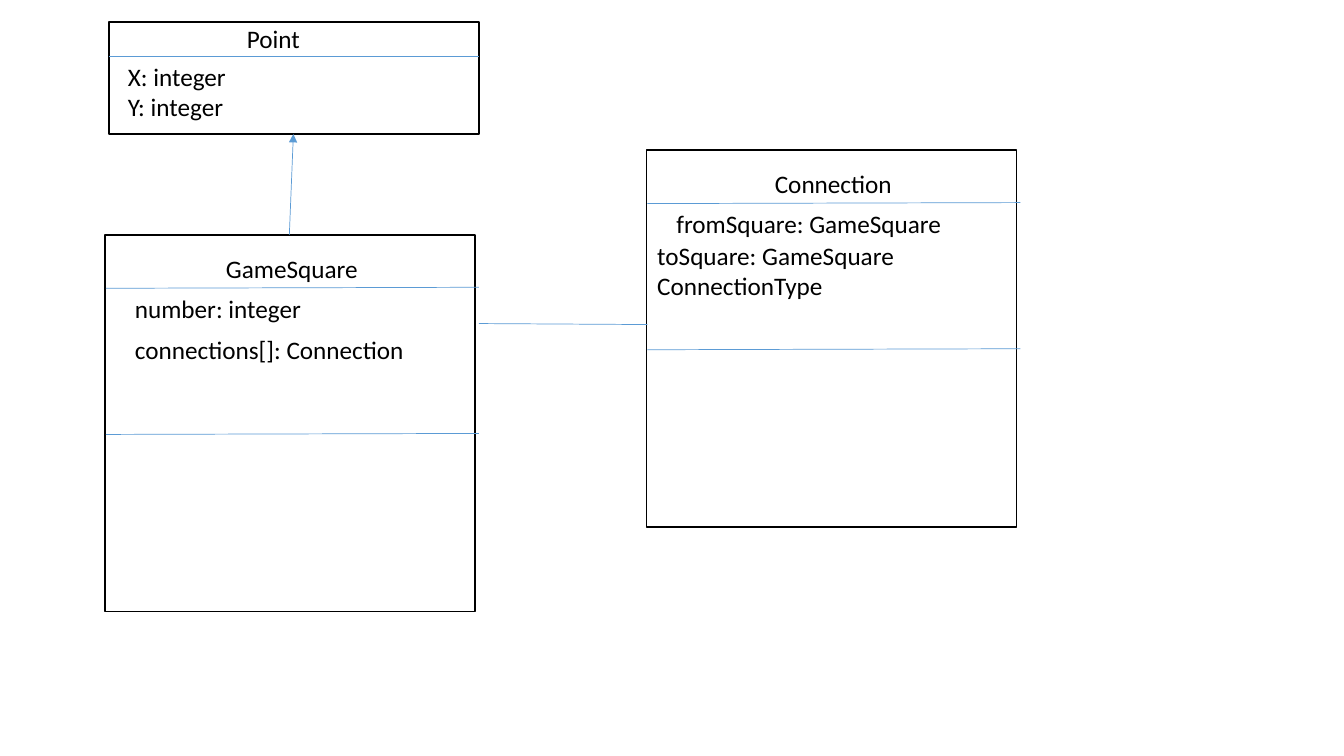
from pptx import Presentation
from pptx.dml.color import RGBColor
from pptx.enum.shapes import MSO_CONNECTOR, MSO_SHAPE
from pptx.enum.text import MSO_AUTO_SIZE, PP_ALIGN
from pptx.oxml.ns import qn
from pptx.util import Inches, Pt
from lxml.etree import SubElement

BLACK = RGBColor(0x00, 0x00, 0x00)
WHITE = RGBColor(0xFF, 0xFF, 0xFF)
BLUE = RGBColor(0x5B, 0x9B, 0xD5)
FONT, SIZE = "Calibri", 18
ROW = 0.4       # height of a one-line label
STEP = 0.31     # added height of each further line
WIDE = 3.67     # width of every class box
TALL = 3.74     # height of a class box with three parts
OVER = 0.04     # how far a rule passes the right edge
TILT = 0.01     # rise of a rule from left to right

# Labels: lines, left and top inside the box, width, alignment.
# Rules: left, top, right and rise inside the box.
RULES = [(0.01, top, WIDE + OVER, TILT) for top in (0.53, 1.98)]
CLASSES = [
    {"at": (1.04, 2.33), "high": TALL, "rules": RULES, "labels": [
        (["GameSquare"], 0.82, 0.13, 2.07, PP_ALIGN.CENTER),
        (["number: integer"], 0.2, 0.53, 2.44, PP_ALIGN.LEFT),
        (["connections[]: Connection"], 0.2, 0.94, 3.2, PP_ALIGN.LEFT)]},
    {"at": (6.41, 1.49), "high": TALL, "rules": RULES, "labels": [
        (["Connection"], 0.82, 0.13, 2.07, PP_ALIGN.CENTER),
        (["fromSquare: GameSquare"], 0.2, 0.53, 3.62, PP_ALIGN.LEFT),
        (["toSquare: GameSquare", "ConnectionType"],
         0.01, 0.84, 3.52, PP_ALIGN.LEFT)]},
    {"at": (1.08, 0.22), "high": 1.11, "rules": [(0, 0.34, WIDE, 0)],
     "labels": [
        (["Point"], 1.27, -0.04, 1.46, PP_ALIGN.LEFT),
        (["X: integer", "Y: integer"], 0.09, 0.34, 1.46, PP_ALIGN.LEFT)]},
]
# Links: start, end, arrowhead at the end.
LINKS = [((4.75, 3.21), (6.42, 3.22), False),
         ((2.87, 2.33), (2.91, 1.33), True)]


def add_line(slide, start, end, arrow=False):
    ends = [Inches(n) for n in (*start, *end)]
    line = slide.shapes.add_connector(MSO_CONNECTOR.STRAIGHT, *ends)
    line.line.color.rgb = BLUE
    line.line.width = Pt(0.5)
    props = line._element.spPr
    if arrow:
        SubElement(props.find(qn("a:ln")), qn("a:tailEnd"), type="triangle")
    SubElement(props, qn("a:effectLst"))


def add_label(slide, lines, left, top, width, align):
    high = ROW + STEP * (len(lines) - 1)
    box = slide.shapes.add_textbox(
        *[Inches(n) for n in (left, top, width, high)])
    frame = box.text_frame
    frame.word_wrap = True
    frame.auto_size = MSO_AUTO_SIZE.SHAPE_TO_FIT_TEXT
    frame.text = "\n".join(lines)
    for para in frame.paragraphs:
        para.alignment = align
        for run in para.runs:
            run.font.name = FONT
            run.font.size = Pt(SIZE)
            run.font.color.rgb = BLACK


def add_class(slide, item):
    """Draw one class: its box, its rules and its labels."""
    x, y = item["at"]
    box = slide.shapes.add_shape(
        MSO_SHAPE.RECTANGLE,
        *[Inches(n) for n in (x, y, WIDE, item["high"])])
    box.shadow.inherit = False
    box.fill.solid()
    box.fill.fore_color.rgb = WHITE
    box.line.color.rgb = BLACK
    box.line.width = Pt(1)
    for left, top, right, rise in item["rules"]:
        add_line(slide, (x + left, y + top), (x + right, y + top - rise))
    for lines, left, top, width, align in item["labels"]:
        add_label(slide, lines, x + left, y + top, width, align)


def main():
    deck = Presentation()
    deck.slide_width, deck.slide_height = Inches(13.33), Inches(7.5)
    slide = deck.slides.add_slide(deck.slide_layouts.get_by_name("Blank"))
    for item in CLASSES:
        add_class(slide, item)
    for start, end, arrow in LINKS:
        add_line(slide, start, end, arrow)
    deck.save("out.pptx")


if __name__ == "__main__":
    main()
